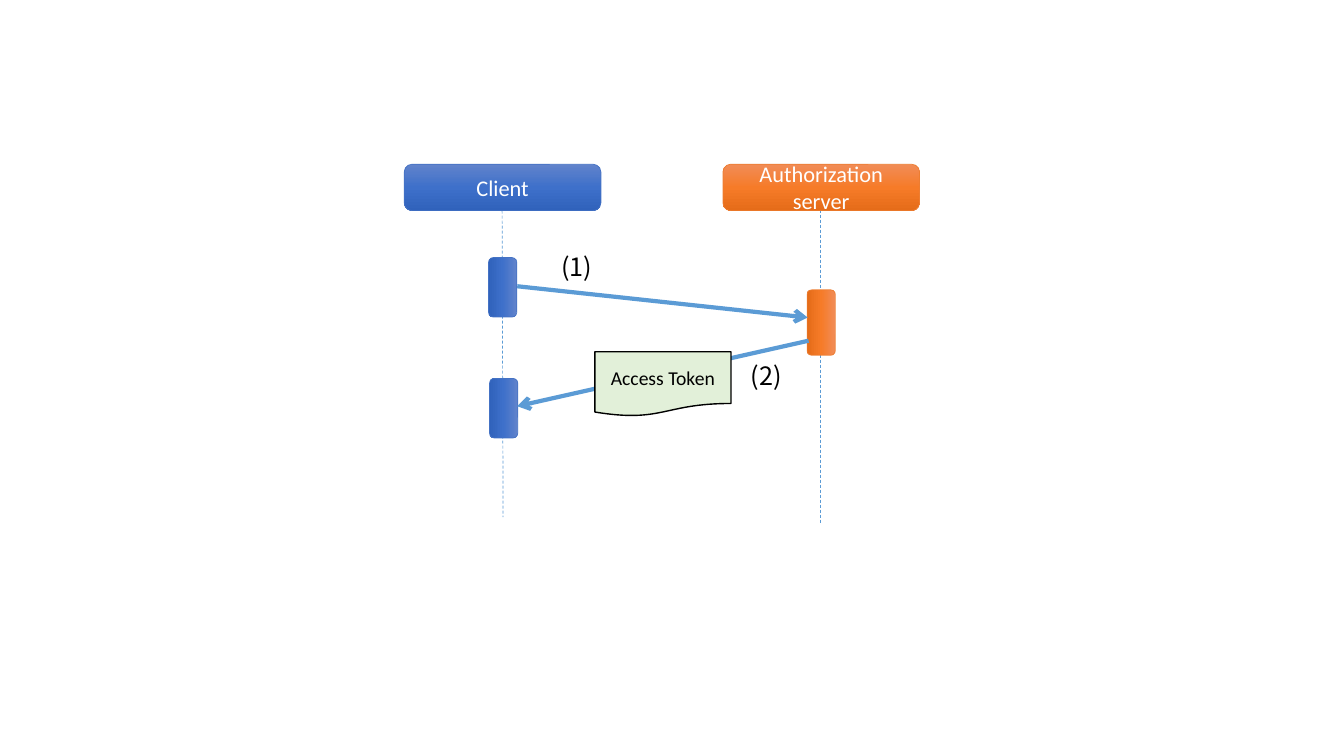
"""Draw the sequence of a client fetching an access token."""
from copy import deepcopy
from dataclasses import dataclass

from pptx import Presentation
from pptx.dml.color import RGBColor as Rgb
from pptx.enum.dml import MSO_LINE as Dash
from pptx.enum.shapes import MSO_CONNECTOR as Conn, MSO_SHAPE as Kind
from pptx.enum.text import MSO_ANCHOR as Anchor, MSO_AUTO_SIZE as Fit, PP_ALIGN as Align
from pptx.oxml.ns import qn
from pptx.oxml.xmlchemy import OxmlElement as Node
from pptx.util import Inches, Pt

HUES = {
    "line": "5B9BD5", "blue": "4472C4", "orange": "ED7D31",
    "green": "E2F0D9", "black": "000000", "white": "FFFFFF",
}
FADES = {
    "blue": ("6183CB", "3E70CA", "3062BB"),
    "orange": ("F18C57", "F67B28", "E56C19"),
}


@dataclass
class Box:
    left: float
    top: float
    width: float
    height: float
    hue: str
    text: str = ""
    turn: int = 0


@dataclass
class Link:
    x1: float
    y1: float
    x2: float
    y2: float


@dataclass
class Label:
    left: float
    top: float
    text: str


LIVES = [Link(8.14, 2.08, 8.14, 5.19), Link(4.98, 2.09, 4.99, 5.13)]
HEADS = [
    Box(7.17, 1.63, 1.95, 0.46, "orange", "Authorization server"),
    Box(4.01, 1.63, 1.95, 0.46, "blue", "Client"),
]
BARS = [
    Box(4.69, 2.71, 0.59, 0.28, "blue", turn=90),
    Box(7.82, 3.06, 0.65, 0.28, "orange", turn=90),
    Box(4.7, 3.91, 0.59, 0.28, "blue", turn=90),
]
CALLS = [Link(5.13, 2.84, 8.01, 3.15), Link(8.02, 3.38, 5.13, 4.03)]
TOKEN = Box(5.9, 3.49, 1.35, 0.64, "green", "Access Token")
LABELS = [Label(5.47, 2.44, "(1)"), Label(7.35, 3.53, "(2)")]


def tint(name: str) -> Rgb:
    return Rgb.from_string(HUES[name])


def style(item, form: dict) -> None:
    for key, val in form.items():
        setattr(item, key, val)


def write(frame, text: str, face: str, size: int, hue: str) -> None:
    frame.text = text
    font = frame.paragraphs[0].runs[0].font
    style(font, {"name": face, "size": Pt(size)})
    font.color.rgb = tint(hue)


def fade(shape, hue: str) -> None:
    shape.fill.gradient()
    shape.fill.gradient_angle = 270
    stops = shape._element.spPr.find(".//" + qn("a:gsLst"))
    stops.insert(1, deepcopy(stops[0]))
    for step, (stop, code) in enumerate(zip(shape.fill.gradient_stops, FADES[hue])):
        stop.position = step / 2
        stop.color.rgb = Rgb.from_string(code)


def draw_box(slide, box: Box, kind: Kind, edge: str, width: float,
             size: int, ink: str) -> None:
    area = map(Inches, (box.left, box.top, box.width, box.height))
    shape = slide.shapes.add_shape(kind, *area)
    shape.rotation = box.turn
    shape.shadow.inherit = False
    if box.hue in FADES:
        fade(shape, box.hue)
    else:
        shape.fill.solid()
        shape.fill.fore_color.rgb = tint(box.hue)
    shape.line.color.rgb = tint(edge)
    shape.line.width = Pt(width)
    if box.text:
        frame = shape.text_frame
        style(frame, {"word_wrap": True, "vertical_anchor": Anchor.MIDDLE})
        write(frame, box.text, "Calibri", size, ink)
        frame.paragraphs[0].alignment = Align.CENTER


def draw_link(slide, link: Link, form: dict, arrow: bool = False) -> None:
    ends = map(Inches, (link.x1, link.y1, link.x2, link.y2))
    wire = slide.shapes.add_connector(Conn.STRAIGHT, *ends)
    wire.line.color.rgb = tint("line")
    style(wire.line, form)
    if arrow:
        tip = Node("a:tailEnd")
        tip.set("type", "arrow")
        wire.line._get_or_add_ln().append(tip)
    wire._element.spPr.append(Node("a:effectLst"))


def draw_label(slide, label: Label) -> None:
    area = map(Inches, (label.left, label.top, 0.62, 0.4))
    frame = slide.shapes.add_textbox(*area).text_frame
    style(frame, {"word_wrap": True, "auto_size": Fit.SHAPE_TO_FIT_TEXT})
    write(frame, label.text, "Noto Sans CJK JP", 18, "black")


def main() -> None:
    deck = Presentation()
    style(deck, {"slide_width": Inches(13.33), "slide_height": Inches(7.5)})
    slide = deck.slides.add_slide(deck.slide_layouts[6])
    for life in LIVES:
        draw_link(slide, life, {"width": Pt(0.5), "dash_style": Dash.DASH})
    for box in HEADS + BARS:
        draw_box(slide, box, Kind.ROUNDED_RECTANGLE, box.hue, 0.5, 16, "white")
    for call in CALLS:
        draw_link(slide, call, {"width": Pt(3)}, arrow=True)
    draw_box(slide, TOKEN, Kind.FLOWCHART_DOCUMENT, "black", 1, 14, "black")
    for label in LABELS:
        draw_label(slide, label)
    deck.save("out.pptx")


if __name__ == "__main__":
    main()
